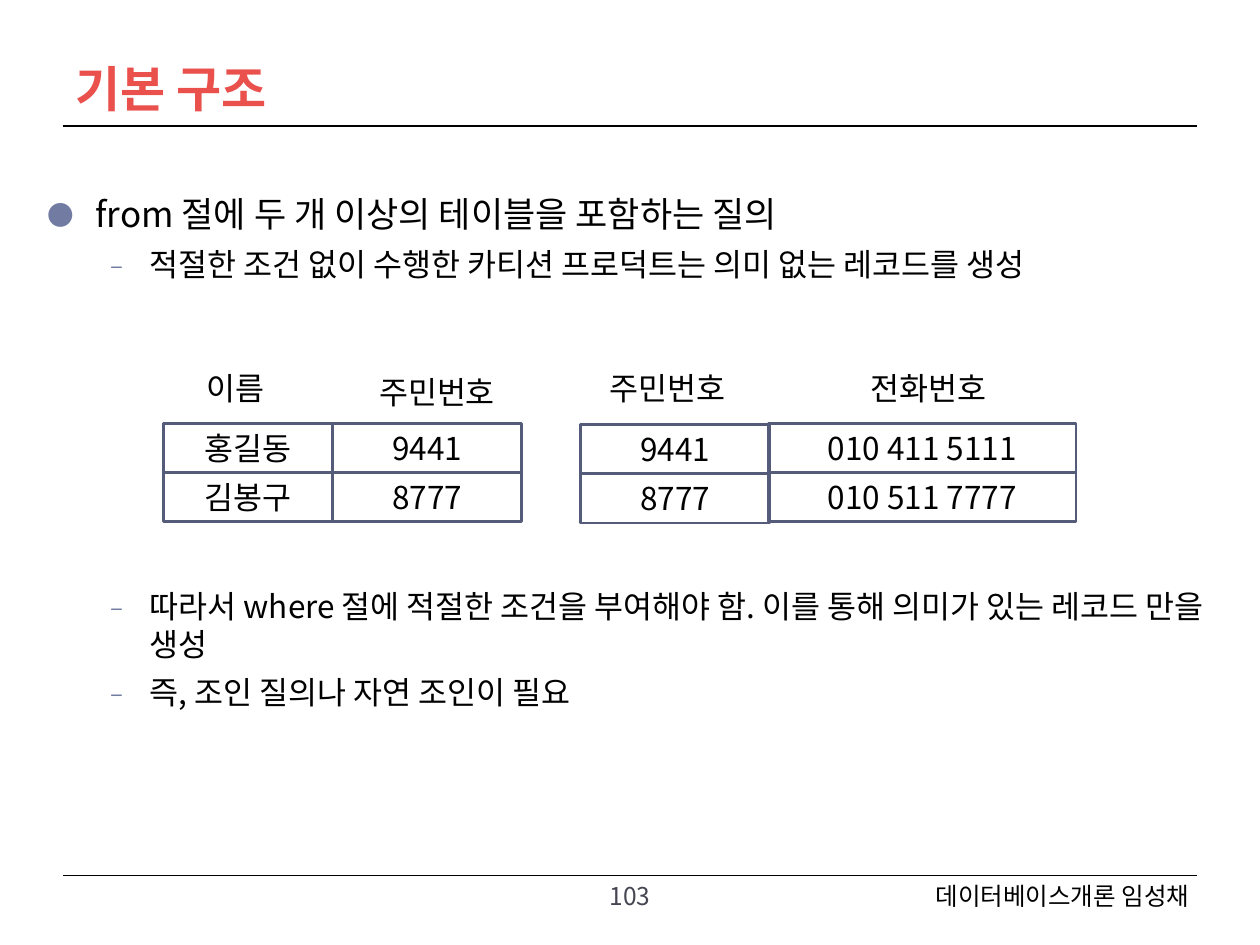
from lxml import etree
from pptx import Presentation
from pptx import util as u
from pptx.dml.color import RGBColor
from pptx.enum import shapes, text
from pptx.oxml.ns import qn

FONT = "Noto Sans CJK KR"
BLACK = RGBColor(0x00, 0x00, 0x00)
RED = RGBColor(0xEA, 0x50, 0x4C)
GRAY = RGBColor(0x46, 0x46, 0x53)
BORDER = RGBColor(0x54, 0x5C, 0x79)
BULLET = RGBColor(0x72, 0x7C, 0xA3)
LEFT, CENTER, RIGHT = text.PP_ALIGN.LEFT, text.PP_ALIGN.CENTER, text.PP_ALIGN.RIGHT
TOP, MIDDLE, BOTTOM = text.MSO_ANCHOR.TOP, text.MSO_ANCHOR.MIDDLE, text.MSO_ANCHOR.BOTTOM

TITLE = "기본 구조"
RULES = [1, 6.95]
FOOTERS = [
    ("데이터베이스개론 임성채", (5.71, 6.94, 3.83, 0.4), RIGHT, BLACK),
    ("103", (4.7, 6.94, 0.6, 0.4), CENTER, GRAY),
]
LEVELS = [
    {"size": 20, "indent": 0.38, "hang": 0.38, "char": "●"},
    {"size": 18, "indent": 0.81, "hang": 0.31, "char": "–"},
]
BODIES = [
    ((0.28, 1.48, 9.39, 0.9), [
        (0, "from 절에 두 개 이상의 테이블을 포함하는 질의"),
        (1, "적절한 조건 없이 수행한 카티션 프로덕트는 의미 없는 레코드를 생성"),
    ]),
    ((0.28, 4.61, 9.39, 1.86), [
        (1, "따라서 where 절에 적절한 조건을 부여해야 함. 이를 통해 의미가 있는 레코드 만을 생성"),
        (1, "즉, 조인 질의나 자연 조인이 필요"),
    ]),
]
ROW_H = 0.39
COLUMNS = [
    ("이름", (1.54, 2.88, 0.71), (1.3, 3.36, 1.34), ["홍길동", "김봉구"]),
    ("주민번호", (2.91, 2.91, 1.21), (2.64, 3.36, 1.5), ["9441", "8777"]),
    ("주민번호", (4.74, 2.88, 1.21), (4.61, 3.37, 1.5), ["9441", "8777"]),
    ("전화번호", (6.81, 2.88, 1.21), (6.1, 3.36, 2.44), ["010 411 5111", "010 511 7777"]),
]


def style(p, size, color=BLACK, align=LEFT, bold=False):
    p.alignment = align
    p.line_spacing = u.Pt(size * 1.2)
    p.space_before = u.Pt(0)
    for r in p.runs:
        f = r.font
        f.size, f.bold, f.name = u.Pt(size), bold, FONT
        f.color.rgb = color
        ea = etree.SubElement(r._r.get_or_add_rPr(), qn("a:ea"))
        ea.set("typeface", FONT)


def fill_text(sp, words, size, color=BLACK, align=LEFT, anchor=TOP, bold=False, wrap=True):
    tf = sp.text_frame
    tf.text = words
    tf.word_wrap = wrap
    tf.vertical_anchor = anchor
    style(tf.paragraphs[0], size, color, align, bold)


def add_bullet(p, level):
    pPr = p._p.get_or_add_pPr()
    pPr.set("marL", str(u.Inches(level["indent"])))
    pPr.set("indent", str(-u.Inches(level["hang"])))
    clr = etree.SubElement(pPr, qn("a:buClr"))
    etree.SubElement(clr, qn("a:srgbClr")).set("val", str(BULLET))
    etree.SubElement(pPr, qn("a:buSzPct")).set("val", "76000")
    etree.SubElement(pPr, qn("a:buFont")).set("typeface", FONT)
    etree.SubElement(pPr, qn("a:buChar")).set("char", level["char"])


def add_text(box):
    return s.shapes.add_textbox(*map(u.Inches, box))


prs = Presentation()
prs.slide_width, prs.slide_height = u.Inches(10), u.Inches(7.5)
s = prs.slides.add_slide(prs.slide_layouts[5])

for y in RULES:
    line = s.shapes.add_connector(shapes.MSO_CONNECTOR.STRAIGHT,
                                  u.Inches(0.5), u.Inches(y), u.Inches(9.5), u.Inches(y))
    line.line.color.rgb = BLACK
    line.line.width = u.Pt(0.75)
    etree.SubElement(line._element.spPr, qn("a:effectLst"))

title = s.shapes.title
title.left, title.top, title.width, title.height = map(u.Inches, (0.5, 0.33, 9, 0.65))
fill_text(title, TITLE, 28, RED, anchor=BOTTOM, bold=True)

for words, box, align, color in FOOTERS:
    fill_text(add_text(box), words, 14, color, align)

for box, items in BODIES:
    tf = add_text(box).text_frame
    tf.word_wrap = True
    for i, (depth, words) in enumerate(items):
        p = tf.add_paragraph() if i else tf.paragraphs[0]
        p.text = words
        p.level = depth
        style(p, LEVELS[depth]["size"])
        p.space_before = u.Pt(6 if i else 0)
        add_bullet(p, LEVELS[depth])

for heading, label, (x, y, w), values in COLUMNS:
    fill_text(add_text((*label, 0.4)), heading, 18, wrap=False)
    for row, value in enumerate(values):
        cell = s.shapes.add_shape(shapes.MSO_SHAPE.RECTANGLE,
                                  *map(u.Inches, (x, y + row * ROW_H, w, ROW_H)))
        cell.shadow.inherit = False
        cell.fill.background()
        cell.line.color.rgb = BORDER
        cell.line.width = u.Pt(1.5)
        fill_text(cell, value, 18, align=CENTER, anchor=MIDDLE)

prs.save("out.pptx")
